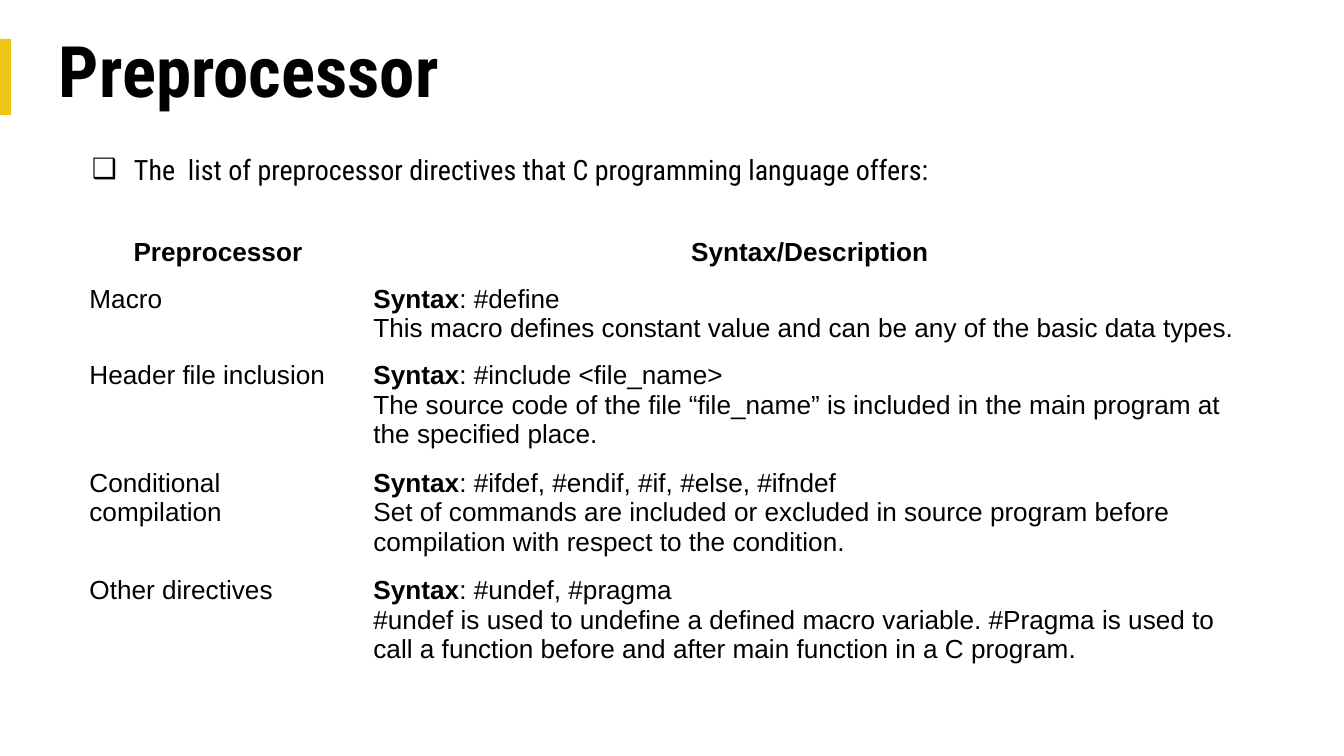
from dataclasses import dataclass
from typing import NamedTuple

from lxml import etree
from pptx import Presentation
from pptx.dml.color import RGBColor
from pptx.enum.shapes import MSO_SHAPE
from pptx.enum.text import MSO_ANCHOR, PP_ALIGN
from pptx.oxml.ns import qn
from pptx.util import Emu, Pt

RECTANGLE = MSO_SHAPE.RECTANGLE
MIDDLE, TOP = MSO_ANCHOR.MIDDLE, MSO_ANCHOR.TOP
LEFT, CENTER = PP_ALIGN.LEFT, PP_ALIGN.CENTER
PX_PER_INCH = 134.4


@dataclass(frozen=True)
class Theme:
    ink: RGBColor = RGBColor(0x00, 0x00, 0x00)
    accent: RGBColor = RGBColor(0xEF, 0xC4, 0x15)
    heading_font: str = "Roboto Condensed"
    table_font: str = "Arial"
    title_size: int = 38
    body_size: int = 15
    table_size: int = 14


class Area(NamedTuple):
    left: int
    top: int
    width: int
    height: int


class Directive(NamedTuple):
    name: str
    syntax: str
    description: str


THEME = Theme()
PAGE_WIDTH, PAGE_HEIGHT = 1344, 756
ACCENT_BAR = Area(0, 39, 11, 76)
TITLE = Area(49, 28, 1247, 93)
BODY = Area(49, 143, 1247, 573)
TABLE = Area(76, 231, 1191, 425)
COLUMN_WIDTHS = (284, 907)
ROW_HEIGHTS = (47, 72, 102, 102, 102)
BULLET_MARGIN, BULLET_HANG = 75, 42

HEADERS = ("Preprocessor", "Syntax/Description ")
DIRECTIVES = (
    Directive("Macro", "#define",
              "This macro defines constant value and can be any of the basic data types."),
    Directive("Header file inclusion", "#include <file_name>",
              "The source code of the file “file_name” is included in the main program "
              "at the specified place."),
    Directive("Conditional compilation", "#ifdef, #endif, #if, #else, #ifndef",
              "Set of commands are included or excluded in source program before "
              "compilation with respect to the condition."),
    Directive("Other directives", "#undef, #pragma",
              "#undef is used to undefine a defined macro variable. #Pragma is used to "
              "call a function before and after main function in a C program."),
)


def px(length: int) -> Emu:
    return Emu(round(length * 914400 / PX_PER_INCH))


def place(area: Area) -> list[Emu]:
    return [px(length) for length in area]


def add_span(para, text: str, font: str, size: int, bold: bool = False) -> None:
    span = para.add_run()
    span.text = text
    span.font.name = font
    span.font.size = Pt(size)
    span.font.bold = bold
    span.font.color.rgb = THEME.ink


def add_text_box(page, area: Area, anchor: MSO_ANCHOR, line_spacing: float):
    """Add an empty wrapped box and return its first paragraph."""
    frame = page.shapes.add_textbox(*place(area)).text_frame
    frame.word_wrap = True
    frame.vertical_anchor = anchor
    frame.margin_left = frame.margin_right = px(10)
    frame.margin_top = frame.margin_bottom = px(5)
    para = frame.paragraphs[0]
    para.line_spacing = line_spacing
    return para


def add_bullet(para, symbol: str) -> None:
    properties = para._p.get_or_add_pPr()
    properties.set("marL", str(px(BULLET_MARGIN)))
    properties.set("indent", str(-px(BULLET_HANG)))
    etree.SubElement(properties, qn("a:buFont")).set("typeface", THEME.table_font)
    etree.SubElement(properties, qn("a:buChar")).set("char", symbol)


def add_cell_span(para, text: str, bold: bool = False) -> None:
    add_span(para, text, THEME.table_font, THEME.table_size, bold)


def add_accent_bar(page) -> None:
    bar = page.shapes.add_shape(RECTANGLE, *place(ACCENT_BAR))
    bar.shadow.inherit = False
    bar.fill.solid()
    bar.fill.fore_color.rgb = THEME.accent
    bar.line.fill.background()


def add_directive_table(page) -> None:
    holder = page.shapes.add_table(len(ROW_HEIGHTS), len(COLUMN_WIDTHS), *place(TABLE))
    table = holder.table
    table.first_row = table.horz_banding = False
    for column, width in zip(table.columns, COLUMN_WIDTHS):
        column.width = px(width)
    for row, height in zip(table.rows, ROW_HEIGHTS):
        row.height = px(height)
    for cell in table.iter_cells():
        cell.fill.background()

    for index, header in enumerate(HEADERS):
        para = table.cell(0, index).text_frame.paragraphs[0]
        para.alignment = CENTER
        add_cell_span(para, header, bold=True)
    for index, directive in enumerate(DIRECTIVES, start=1):
        add_cell_span(table.cell(index, 0).text_frame.paragraphs[0], directive.name)
        frame = table.cell(index, 1).text_frame
        add_cell_span(frame.paragraphs[0], "Syntax", bold=True)
        add_cell_span(frame.paragraphs[0], f": {directive.syntax}")
        add_cell_span(frame.add_paragraph(), directive.description)


def main() -> None:
    deck = Presentation()
    deck.slide_width, deck.slide_height = px(PAGE_WIDTH), px(PAGE_HEIGHT)
    page = deck.slides.add_slide(deck.slide_layouts[6])

    add_accent_bar(page)
    title = add_text_box(page, TITLE, MIDDLE, 0.9)
    title.alignment = LEFT
    add_span(title, "Preprocessor", THEME.heading_font, THEME.title_size, bold=True)
    intro = add_text_box(page, BODY, TOP, 1.14)
    add_bullet(intro, "❑")
    add_span(intro, "The  list of preprocessor directives that C programming language offers:",
             THEME.heading_font, THEME.body_size)
    add_directive_table(page)
    deck.save("out.pptx")


if __name__ == "__main__":
    main()
